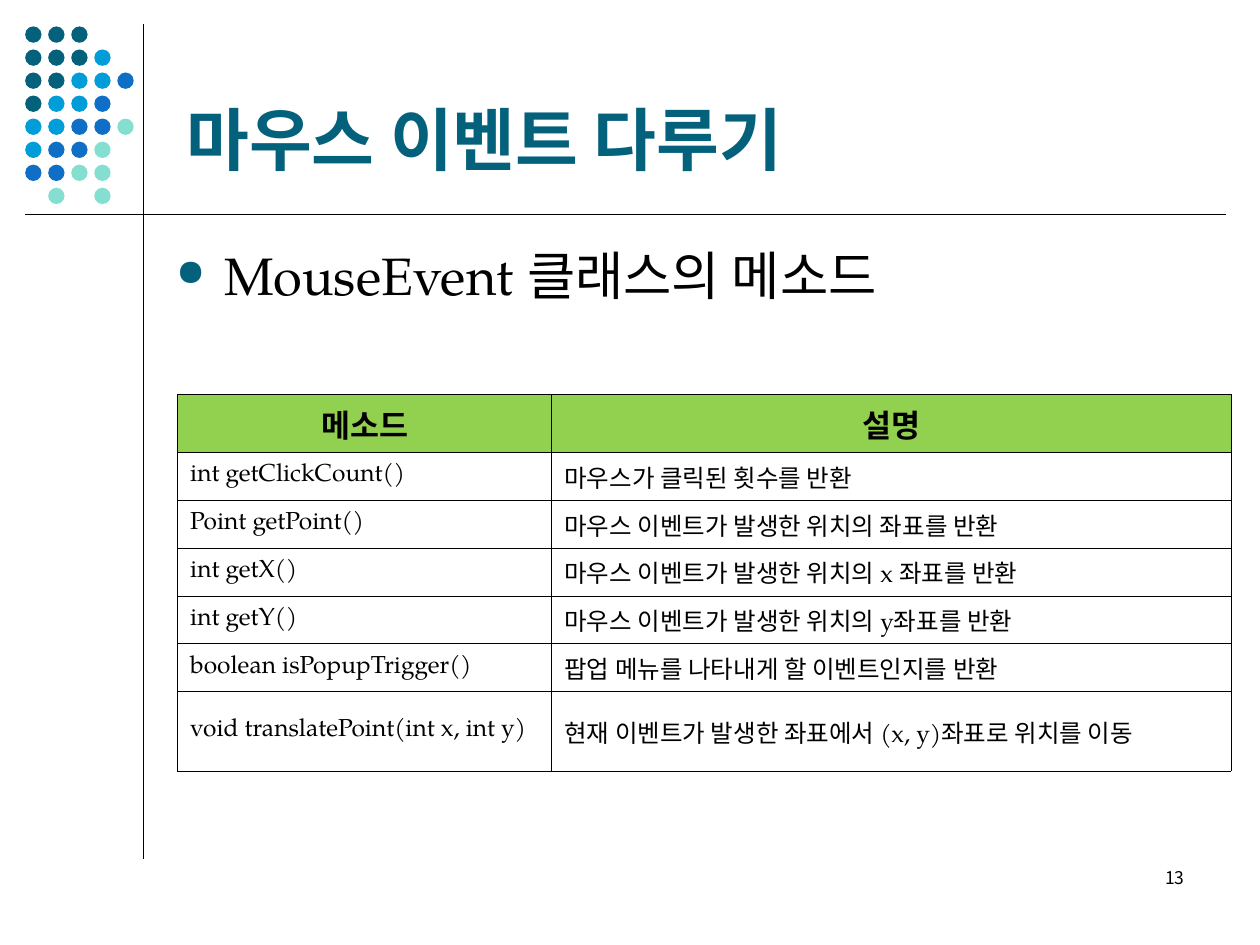
from lxml import etree
from pptx import Presentation
from pptx.dml.color import RGBColor
from pptx.enum import shapes, text
from pptx.oxml import ns
from pptx.util import Inches, Pt

BLACK = RGBColor(0x00, 0x00, 0x00)
WHITE = RGBColor(0xFF, 0xFF, 0xFF)
TEAL = RGBColor(0x04, 0x61, 0x7B)
SKY = RGBColor(0x00, 0x9D, 0xD9)
BLUE = RGBColor(0x0F, 0x6F, 0xC6)
MINT = RGBColor(0x85, 0xDF, 0xD0)
GREEN = RGBColor(0x92, 0xD0, 0x50)

SERIF = "TeX Gyre Pagella"
SANS = "Noto Sans"
KOREAN = "Noto Sans CJK KR"

DOT_COLORS = {"T": TEAL, "S": SKY, "B": BLUE, "M": MINT}
DOT_ROWS = ["TTT", "TTTS", "TTSSB", "TSSB", "SSBBM", "SBBM", "BBMM", ".M.M"]

METHODS = [
    ("메소드", "설명"),
    ("int getClickCount()", "마우스가 클릭된 횟수를 반환"),
    ("Point getPoint()", "마우스 이벤트가 발생한 위치의 좌표를 반환"),
    ("int getX()", "마우스 이벤트가 발생한 위치의 x 좌표를 반환"),
    ("int getY()", "마우스 이벤트가 발생한 위치의 y좌표를 반환"),
    ("boolean isPopupTrigger()", "팝업 메뉴를 나타내게 할 이벤트인지를 반환"),
    ("void translatePoint(int x, int y)", "현재 이벤트가 발생한 좌표에서 (x, y)좌표로 위치를 이동"),
]
COLUMN_WIDTHS = [2.97, 5.39]
ROW_HEIGHTS = [0.46] + [0.38] * 5 + [0.63]


def add_element(parent, tag, **attributes):
    return etree.SubElement(parent, ns.qn(tag), attributes)


class SlideBuilder:
    def __init__(self, slide):
        self.slide = slide

    def line(self, start, end):
        rule = self.slide.shapes.add_connector(
            shapes.MSO_CONNECTOR.STRAIGHT, *map(Inches, start + end))
        rule.line.color.rgb = BLACK
        rule.line.width = Pt(0.75)
        add_element(rule._element.spPr, "a:effectLst")

    def dot(self, left, top, color):
        dot = self.slide.shapes.add_shape(
            shapes.MSO_SHAPE.OVAL, *map(Inches, (left, top, 0.13, 0.13)))
        dot.shadow.inherit = False
        dot.fill.solid()
        dot.fill.fore_color.rgb = color
        dot.line.fill.background()

    def set_text(self, frame, words, font, size, color=BLACK, bold=False,
                 align=text.PP_ALIGN.LEFT, bullet=None):
        para = frame.paragraphs[0]
        para.alignment = align
        if bullet:
            self.bullet(para, bullet)
        span = para.add_run()
        span.text = words
        para.font.name = font
        para.font.size = Pt(size)
        para.font.bold = bold
        para.font.color.rgb = color
        add_element(para.font._element, "a:ea", typeface=KOREAN)

    def bullet(self, para, mark):
        properties = para._p.get_or_add_pPr()
        properties.set("marL", str(Inches(0.38)))
        properties.set("indent", str(Inches(-0.38)))
        color = add_element(properties, "a:buClr")
        add_element(color, "a:srgbClr", val=str(TEAL))
        add_element(properties, "a:buSzPct", val="70000")
        add_element(properties, "a:buChar", char=mark)

    def text_box(self, place, words, anchor=text.MSO_ANCHOR.TOP, **style):
        box = self.slide.shapes.add_textbox(*map(Inches, place))
        box.text_frame.word_wrap = True
        box.text_frame.vertical_anchor = anchor
        self.set_text(box.text_frame, words, **style)

    def borders(self, cell):
        properties = cell._tc.get_or_add_tcPr()
        for side in ("a:lnL", "a:lnR", "a:lnT", "a:lnB"):
            edge = add_element(properties, side, w=str(Pt(0.45)))
            fill = add_element(edge, "a:solidFill")
            add_element(fill, "a:srgbClr", val=str(BLACK))

    def table(self, left, top, rows, widths, heights):
        frame = self.slide.shapes.add_table(
            len(rows), len(widths),
            *map(Inches, (left, top, sum(widths), sum(heights))))
        table = frame.table
        for column, width in zip(table.columns, widths):
            column.width = Inches(width)
        for index, (row, height) in enumerate(zip(rows, heights)):
            table.rows[index].height = Inches(height)
            header = index == 0
            for cell, words in zip(table.rows[index].cells, row):
                cell.vertical_anchor = text.MSO_ANCHOR.MIDDLE
                self.borders(cell)
                cell.fill.solid()
                cell.fill.fore_color.rgb = GREEN if header else WHITE
                self.set_text(
                    cell.text_frame, words, SERIF, 18 if header else 14, bold=header,
                    align=text.PP_ALIGN.CENTER if header else text.PP_ALIGN.LEFT)


def main():
    deck = Presentation()
    deck.slide_width = Inches(10)
    deck.slide_height = Inches(7.5)
    page = SlideBuilder(deck.slides.add_slide(deck.slide_layouts[6]))

    page.line((1.14, 0.19), (1.14, 6.82))
    pitch = 1.28 / 7
    for row, codes in enumerate(DOT_ROWS):
        for column, code in enumerate(codes):
            if code in DOT_COLORS:
                page.dot(0.2 + column * pitch, 0.21 + row * pitch, DOT_COLORS[code])
    page.line((0.2, 1.7), (9.73, 1.7))

    page.text_box((1.38, 0.21, 8.25, 1.26), "마우스 이벤트 다루기",
                  anchor=text.MSO_ANCHOR.BOTTOM, font=SANS, size=39, color=TEAL, bold=True)
    page.text_box((1.3, 1.88, 8.2, 4.82), "MouseEvent 클래스의 메소드",
                  font=SERIF, size=30, bullet="●")
    page.text_box((7.17, 6.83, 2.33, 0.5), "13",
                  font=KOREAN, size=10, align=text.PP_ALIGN.RIGHT)
    page.table(1.41, 3.13, METHODS, COLUMN_WIDTHS, ROW_HEIGHTS)
    deck.save("out.pptx")


if __name__ == "__main__":
    main()
